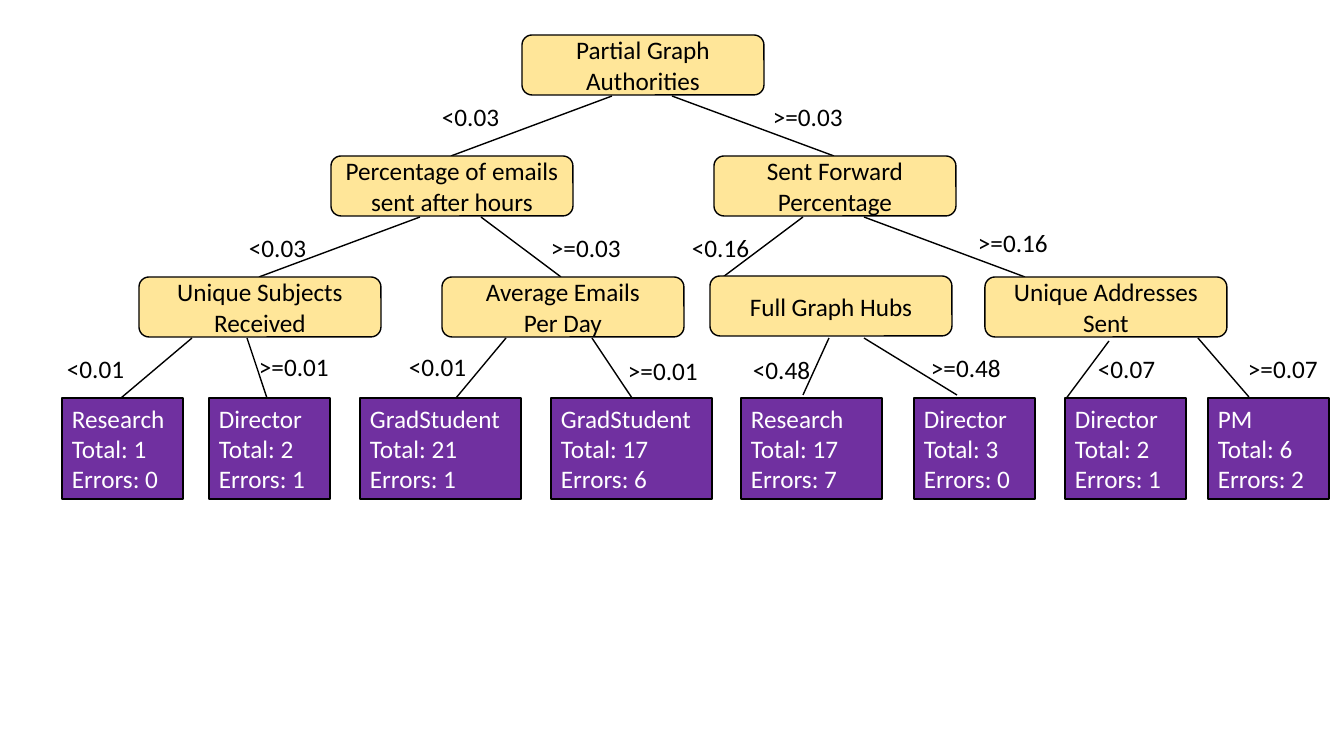
from pptx import Presentation
from pptx.dml.color import RGBColor
from pptx.enum.shapes import MSO_CONNECTOR, MSO_SHAPE
from pptx.enum.text import MSO_ANCHOR, MSO_AUTO_SIZE, PP_ALIGN
from pptx.util import Pt
from lxml import etree

PX = 914400 / 100.8
BLACK = RGBColor(0x00, 0x00, 0x00)
WHITE = RGBColor(0xFF, 0xFF, 0xFF)
CREAM = RGBColor(0xFF, 0xE6, 0x99)
PURPLE = RGBColor(0x70, 0x30, 0xA0)
NS = "{http://schemas.openxmlformats.org/drawingml/2006/main}"


def px(*values):
    return [round(v * PX) for v in values]


def write(sp, text, color=BLACK, align=PP_ALIGN.LEFT, anchor=MSO_ANCHOR.TOP, wrap=True):
    tf = sp.text_frame
    tf.word_wrap = wrap
    tf.vertical_anchor = anchor
    tf.text = text
    for p in tf.paragraphs:
        p.alignment = align
        p.font.name = "Calibri"
        p.font.size = Pt(18)
        p.font.color.rgb = color


prs = Presentation()
prs.slide_width, prs.slide_height = px(1344, 756)
s = prs.slides.add_slide(prs.slide_layouts[6])

branches = [
    (612, 96, 451, 156), (672, 96, 834, 156),
    (420, 217, 259, 277), (481, 217, 561, 277),
    (803, 217, 723, 277), (864, 217, 1025, 277),
    (192, 338, 121, 398), (247, 338, 267, 398),
    (506, 338, 456, 398), (592, 338, 632, 398),
    (829, 338, 803, 395), (864, 338, 957, 395),
    (1109, 341, 1065, 400), (1198, 338, 1249, 397),
]
for branch in branches:
    line = s.shapes.add_connector(MSO_CONNECTOR.STRAIGHT, *px(*branch))
    line.line.color.rgb = BLACK
    line.line.width = Pt(1)
    etree.SubElement(line._element.spPr, NS + "effectLst")

conditions = [
    ("<0.03", 432, 96), (">=0.03", 763, 96),
    ("<0.03", 239, 227), (">=0.03", 541, 227),
    ("<0.16", 682, 227), (">=0.16", 968, 222),
    ("<0.01", 57, 348), (">=0.01", 249, 346),
    ("<0.01", 399, 346), (">=0.01", 618, 350),
    ("<0.48", 743, 349), (">=0.48", 921, 347),
    ("<0.07", 1088, 348), (">=0.07", 1238, 348),
]
for text, x, y in conditions:
    width = 91 if text.startswith(">=") else 79
    sp = s.shapes.add_textbox(*px(x, y, width, 40))
    write(sp, text, wrap=False)
    sp.text_frame.auto_size = MSO_AUTO_SIZE.SHAPE_TO_FIT_TEXT

tests = [
    ("Partial Graph\nAuthorities", 522, 35),
    ("Percentage of emails sent after hours", 331, 156),
    ("Sent Forward Percentage", 714, 156),
    ("Unique Subjects Received", 139, 277),
    ("Average Emails\nPer Day", 442, 277),
    ("Full Graph Hubs", 710, 276),
    ("Unique Addresses Sent", 985, 277),
]
outcomes = [
    ("Research", 1, 0, 62, 121), ("Director", 2, 1, 209, 121),
    ("GradStudent", 21, 1, 360, 161), ("GradStudent", 17, 6, 551, 161),
    ("Research", 17, 7, 741, 141), ("Director", 3, 0, 914, 121),
    ("Director", 2, 1, 1065, 121), ("PM", 6, 2, 1208, 121),
]
boxes = []
for text, x, y in tests:
    sp = s.shapes.add_shape(MSO_SHAPE.ROUNDED_RECTANGLE, *px(x, y, 242, 60))
    write(sp, text, align=PP_ALIGN.CENTER, anchor=MSO_ANCHOR.MIDDLE)
    boxes.append((sp, CREAM))
for role, total, errors, x, width in outcomes:
    sp = s.shapes.add_shape(MSO_SHAPE.RECTANGLE, *px(x, 398, width, 101))
    write(sp, f"{role}\nTotal: {total}\nErrors: {errors}", color=WHITE)
    boxes.append((sp, PURPLE))
for sp, fill in boxes:
    sp.shadow.inherit = False
    sp.fill.solid()
    sp.fill.fore_color.rgb = fill
    sp.line.color.rgb = BLACK
    sp.line.width = Pt(1)

prs.save("out.pptx")
